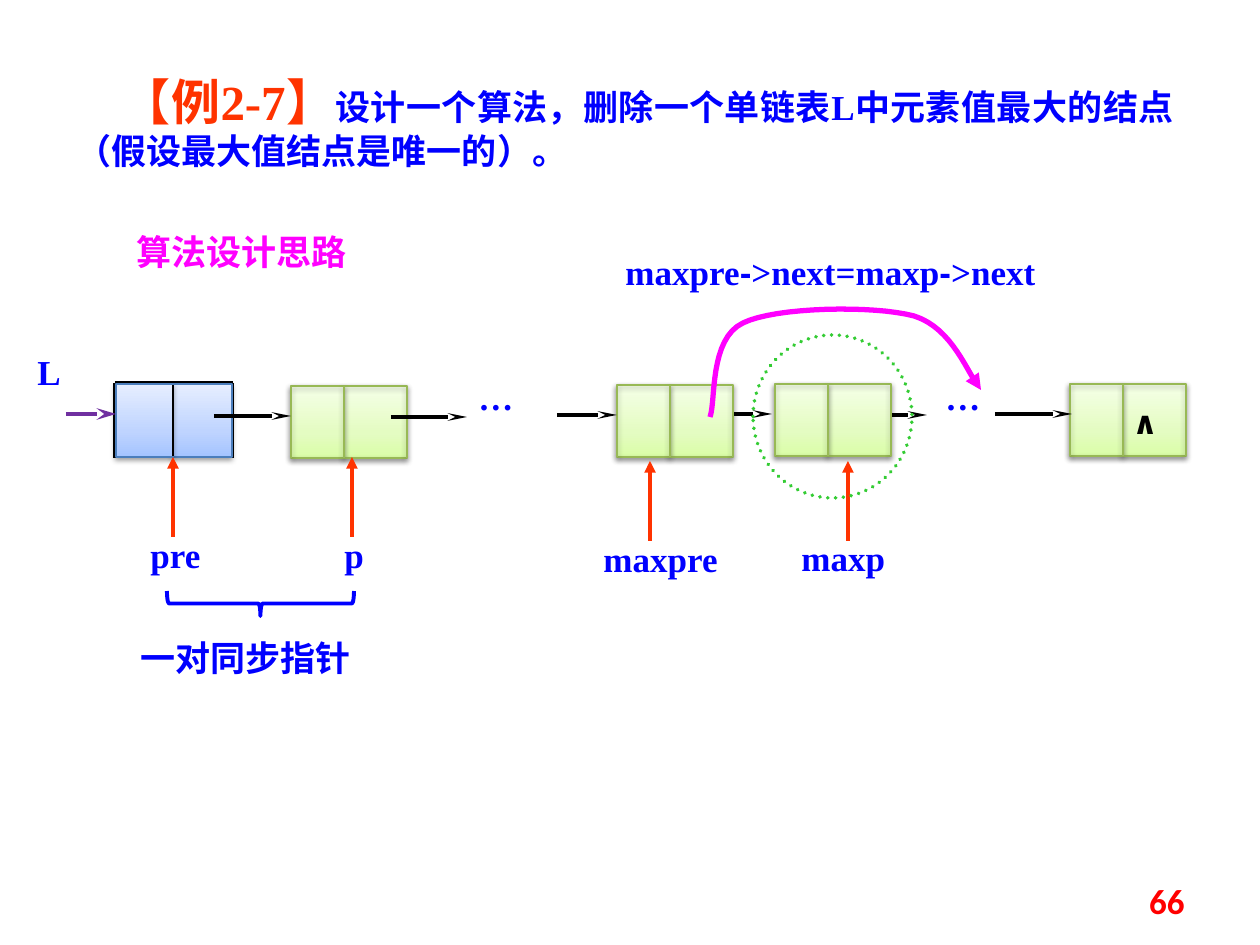
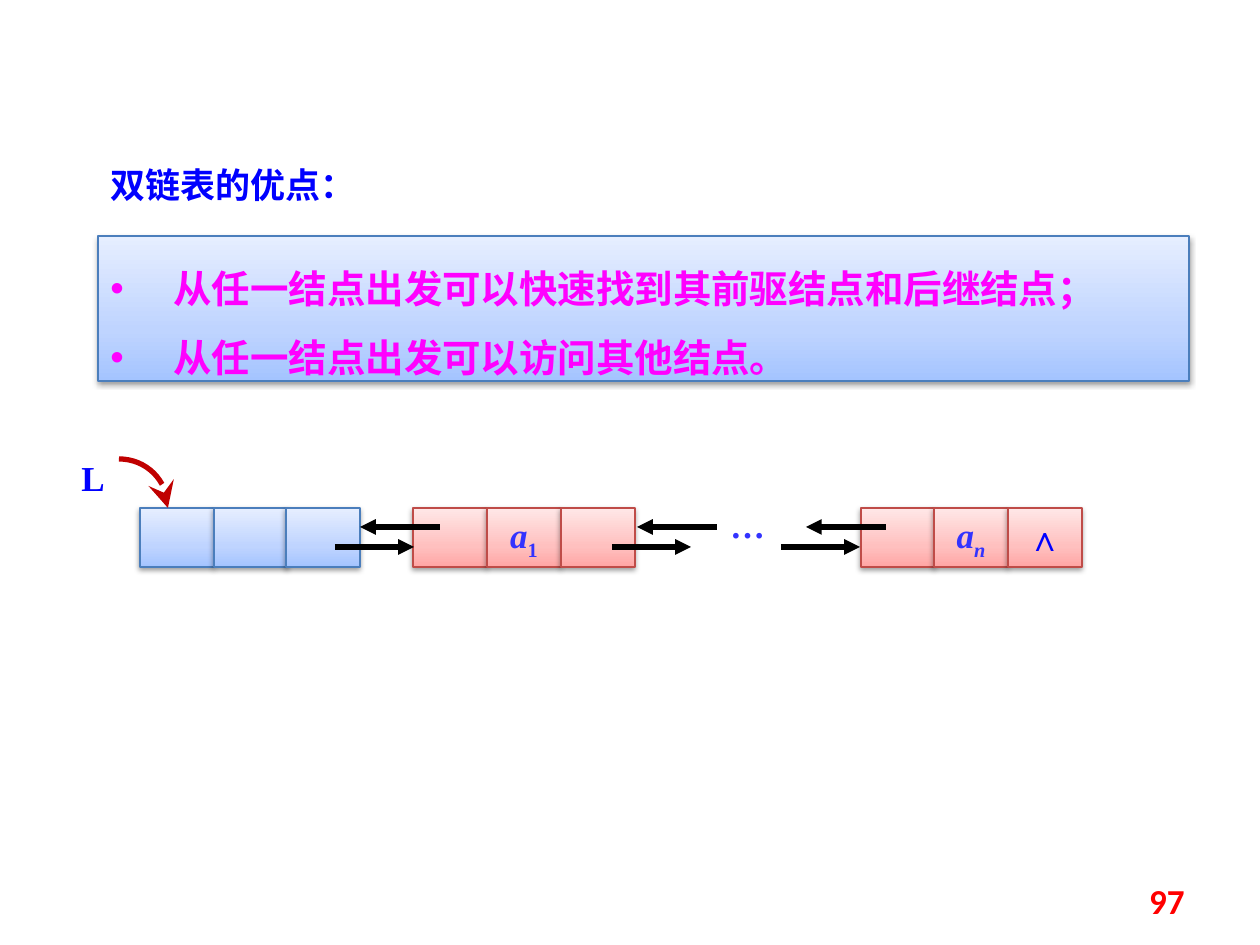
from copy import deepcopy
from lxml.etree import SubElement
from pptx import Presentation
from pptx.dml.color import RGBColor
from pptx.enum.dml import MSO_LINE_DASH_STYLE as Dash
from pptx.enum.shapes import MSO_CONNECTOR_TYPE as Link, MSO_SHAPE as Preset
from pptx.enum.text import MSO_ANCHOR as Anchor, PP_ALIGN as Align
from pptx.oxml.ns import qn
from pptx.util import Pt

PX = 914400 / 126
BLUE = RGBColor(0x00, 0x00, 0xFF)
SOFT_BLUE = RGBColor(0x33, 0x33, 0xFF)
ORANGE = RGBColor(0xFF, 0x33, 0x00)
MAGENTA = RGBColor(0xFF, 0x00, 0xFF)
PURPLE = RGBColor(0x70, 0x30, 0xA0)
GREEN = RGBColor(0x33, 0xCC, 0x33)
DARK_RED = RGBColor(0xC0, 0x00, 0x00)
RED = RGBColor(0xFF, 0x00, 0x00)
BLACK = RGBColor(0x00, 0x00, 0x00)

BLUE_CELL = (RGBColor(0xA4, 0xC4, 0xFF), RGBColor(0xBF, 0xD4, 0xFF),
             RGBColor(0xE6, 0xEE, 0xFF), RGBColor(0x4B, 0x7E, 0xBC))
GREEN_CELL = (RGBColor(0xDA, 0xFD, 0xA7), RGBColor(0xE4, 0xFC, 0xC2),
              RGBColor(0xF5, 0xFF, 0xE7), RGBColor(0x98, 0xB9, 0x55))
RED_CELL = (RGBColor(0xFF, 0xA6, 0xA5), RGBColor(0xFF, 0xC0, 0xBF),
            RGBColor(0xFF, 0xE7, 0xE7), RGBColor(0xBF, 0x4C, 0x48))

SERIF, SANS, CJK = "Times New Roman", "Calibri", "Noto Sans CJK SC"
ARIAL, SYMBOL = "Arial", "DejaVu Sans"

TRIANGLE = {"type": "triangle"}
SLIM_STEALTH = {"type": "stealth", "w": "sm", "len": "lg"}
LONG_STEALTH = {"type": "stealth", "w": "med", "len": "lg"}
WIDE_STEALTH = {"type": "stealth", "w": "lg", "len": "lg"}


def run(text, color=BLUE, size=20, font=SERIF, italic=False, sub=False):
    return text, color, size, font, italic, sub


TITLE = [run("【例2-7】", ORANGE, 28),
         run("设计一个算法，删除一个单链表L中元素值最大的结点（假设最大值结点是唯一的）。")]
BYPASS = [run("maxpre"), run("-", font=ARIAL), run(">next=maxp"),
          run("-", font=ARIAL), run(">next")]
SINGLE_LABELS = [
    ((25, 344, 59, 63), run("L")),
    ((1120, 397, 49, 50), run("∧", BLACK, 18, SYMBOL)),
    ((933, 369, 100, 63), run("…")),
    ((466, 369, 100, 63), run("…")),
    ((789, 530, 120, 54), run("maxp")),
    ((591, 531, 159, 54), run("maxpre")),
    ((332, 527, 50, 54), run("p")),
    ((138, 527, 89, 54), run("pre")),
    ((124, 224, 387, 63), run("算法设计思路", MAGENTA, font=CJK)),
    ((128, 630, 266, 55), run("一对同步指针", font=CJK)),
]
SINGLE_NODES = [(291, 386), (617, 385), (775, 384), (1070, 384)]
REAR_LINKS = [(712, 772, 414), (850, 927, 415)]
FRONT_LINKS = [(214, 291, 416), (391, 467, 417), (557, 617, 415), (995, 1072, 414)]
POINTERS = [(173, 537, 457), (352, 537, 457), (650, 541, 461), (848, 541, 461)]
BYPASS_CURVE = [(710, 417), (716, 401), (709, 339), (743, 323),
                (775, 307), (873, 305), (914, 316),
                (953, 328), (968, 375), (981, 390)]

MERITS = ["从任一结点出发可以快速找到其前驱结点和后继结点；", "从任一结点出发可以访问其他结点。"]
DOUBLE_NODES = [
    ((140, 214, 286), BLUE_CELL, ([], [], [])),
    ((413, 487, 561), RED_CELL,
     ([], [run("a", SOFT_BLUE, italic=True), run("1", SOFT_BLUE, sub=True)], [])),
    ((861, 934, 1008), RED_CELL,
     ([], [run("a", SOFT_BLUE, italic=True), run("n", SOFT_BLUE, italic=True, sub=True)],
      [run("∧")])),
]
DOUBLE_LINKS = [335, 612, 781]
HEAD_CURVE = [(119, 459), (146, 459), (168, 480), (168, 508)]


def emu(*lengths):
    return [round(length * PX) for length in lengths]


def add_runs(para, runs):
    for text, color, size, font, italic, sub in runs:
        span = para.add_run()
        span.text = text
        span.font.name = font
        span.font.size = Pt(size)
        span.font.bold = True
        span.font.italic = italic
        span.font.color.rgb = color
        if sub:
            span._r.get_or_add_rPr().set("baseline", "-25000")


def add_text(page, place, runs, align=Align.LEFT, margin=None):
    box = page.shapes.add_textbox(*emu(*place))
    frame = box.text_frame
    frame.word_wrap = True
    if margin is not None:
        frame.margin_left = frame.margin_right = margin
        frame.margin_top = frame.margin_bottom = margin
    para = frame.paragraphs[0]
    para.alignment = align
    add_runs(para, runs)
    return box


def add_shadow(shape):
    effects = shape._element.spPr.find(qn("a:effectLst"))
    shade = SubElement(effects, qn("a:outerShdw"), blurRad=str(Pt(3.1)),
                       dist=str(Pt(1.6)), dir="5400000", rotWithShape="0")
    color = SubElement(shade, qn("a:srgbClr"), val="000000")
    SubElement(color, qn("a:alpha"), val="38000")


def add_cell(page, place, palette):
    cell = page.shapes.add_shape(Preset.RECTANGLE, *emu(*place))
    cell.shadow.inherit = False
    cell.fill.gradient()
    cell.fill.gradient_angle = 90
    stops = cell._element.spPr.find(".//" + qn("a:gsLst"))
    stops.append(deepcopy(stops[-1]))
    for stop, position, color in zip(cell.fill.gradient_stops, (0, 0.35, 1), palette):
        stop.position = position
        stop.color.rgb = color
    cell.line.color.rgb = palette[3]
    cell.line.width = Pt(0.75)
    add_shadow(cell)
    return cell


def style_stroke(shape, color, width, arrow=None):
    shape.line.color.rgb = color
    shape.line.width = Pt(width)
    if arrow:
        SubElement(shape.line._get_or_add_ln(), qn("a:tailEnd"), arrow)


def add_line(page, ends, color, width, arrow=None):
    line = page.shapes.add_connector(Link.STRAIGHT, *emu(*ends))
    style_stroke(line, color, width, arrow)
    SubElement(line._element.spPr, qn("a:effectLst"))
    return line


def add_outline(page, preset, place, color):
    shape = page.shapes.add_shape(preset, *emu(*place))
    shape.shadow.inherit = False
    shape.fill.background()
    style_stroke(shape, color, 2.25)
    return shape


def add_curve(page, knots, color, arrow, steps=16):
    points = [knots[0]]
    for start in range(0, len(knots) - 1, 3):
        for step in range(1, steps + 1):
            t = step / steps
            weights = ((1 - t) ** 3, 3 * t * (1 - t) ** 2, 3 * t * t * (1 - t), t ** 3)
            points.append(tuple(sum(w * knot[axis] for w, knot in
                                    zip(weights, knots[start:start + 4]))
                                for axis in (0, 1)))
    builder = page.shapes.build_freeform(*emu(*points[0]))
    builder.add_line_segments([emu(*point) for point in points[1:]], close=False)
    curve = builder.convert_to_shape()
    curve.shadow.inherit = False
    curve.fill.background()
    style_stroke(curve, color, 3, arrow)


def add_green_node(page, left, top):
    middle, right, bottom = left + 53, left + 116, top + 72
    add_cell(page, (middle, top, 63, 72), GREEN_CELL)
    add_cell(page, (left, top, 53, 72), GREEN_CELL)
    edges = [(left, y, right, y) for y in (top, bottom)]
    edges += [(x, top, x, bottom) for x in (left, middle, right)]
    for edge in edges:
        add_shadow(add_line(page, edge, GREEN_CELL[3], 0.75))


def add_page(deck, number):
    page = deck.slides.add_slide(deck.slide_layouts[6])
    box = add_text(page, (903, 876, 294, 50), [run(number, RED, font=SANS)], Align.RIGHT)
    box.text_frame.vertical_anchor = Anchor.MIDDLE
    return page


def build_deletion(deck):
    page = add_page(deck, "66")
    title = add_text(page, (64, 65, 1122, 123), TITLE, Align.JUSTIFY)
    title.text_frame.paragraphs[0]._p.get_or_add_pPr().set("indent", str(Pt(26)))
    for edge in [(115, 383, 233, 383), (115, 383, 115, 458), (232, 383, 232, 458)]:
        add_line(page, edge, BLACK, 2.25)
    add_cell(page, (173, 384, 59, 73), BLUE_CELL)
    add_cell(page, (116, 384, 57, 73), BLUE_CELL)
    add_line(page, (173, 385, 173, 456), BLACK, 0.75)
    add_line(page, (66, 414, 116, 414), PURPLE, 2.25, LONG_STEALTH)
    for start, end, y in REAR_LINKS:
        add_line(page, (start, y, end, y), BLACK, 2.25, SLIM_STEALTH)
    for left, top in SINGLE_NODES:
        add_green_node(page, left, top)
    for start, end, y in FRONT_LINKS:
        add_line(page, (start, y, end, y), BLACK, 2.25, SLIM_STEALTH)
    for x, start, end in POINTERS:
        add_line(page, (x, start, x, end), ORANGE, 2.25, TRIANGLE)
    circle = add_outline(page, Preset.OVAL, (753, 335, 159, 163), GREEN)
    circle.line.dash_style = Dash.ROUND_DOT
    circle.line._get_or_add_ln().set("cap", "rnd")
    brace = add_outline(page, Preset.LEFT_BRACE, (248, 510, 25, 187), BLUE)
    brace.rotation = 270
    add_curve(page, BYPASS_CURVE, MAGENTA, TRIANGLE)
    add_text(page, (598, 250, 465, 43), BYPASS, Align.CENTER, 0)
    for place, label in SINGLE_LABELS:
        add_text(page, place, [label])


def build_merits(deck):
    page = add_page(deck, "97")
    banner = add_cell(page, (98, 236, 1091, 145), BLUE_CELL)
    frame = banner.text_frame
    frame.word_wrap = True
    frame.vertical_anchor = Anchor.TOP
    for index, merit in enumerate(MERITS):
        para = frame.add_paragraph() if index else frame.paragraphs[0]
        layout = para._p.get_or_add_pPr()
        layout.set("marL", "457200")
        layout.set("indent", "-457200")
        SubElement(layout, qn("a:buFont"), typeface=ARIAL)
        SubElement(layout, qn("a:buChar"), char="•")
        para.alignment = Align.LEFT
        para.line_spacing = 1.5
        add_runs(para, [run(merit, MAGENTA, 22, SANS)])
    add_text(page, (98, 157, 684, 63), [run("双链表的优点：")])
    for lefts, palette, texts in DOUBLE_NODES:
        for left, runs in zip(lefts, texts):
            cell = add_cell(page, (left, 508, 74, 59), palette)
            if runs:
                cell.text_frame.word_wrap = False
                para = cell.text_frame.paragraphs[0]
                para.alignment = Align.CENTER
                add_runs(para, runs)
    for left in DOUBLE_LINKS:
        add_line(page, (left, 547, left + 79, 547), BLACK, 3, TRIANGLE)
        add_line(page, (left + 105, 527, left + 25, 527), BLACK, 3, TRIANGLE)
    add_text(page, (709, 508, 79, 63), [run("…", SOFT_BLUE, font=CJK)], Align.CENTER)
    add_curve(page, HEAD_CURVE, DARK_RED, WIDE_STEALTH)
    add_text(page, (69, 450, 59, 63), [run("L")])


def main():
    deck = Presentation()
    deck.slide_width, deck.slide_height = emu(1260, 945)
    build_deletion(deck)
    build_merits(deck)
    deck.save("out.pptx")


if __name__ == "__main__":
    main()
